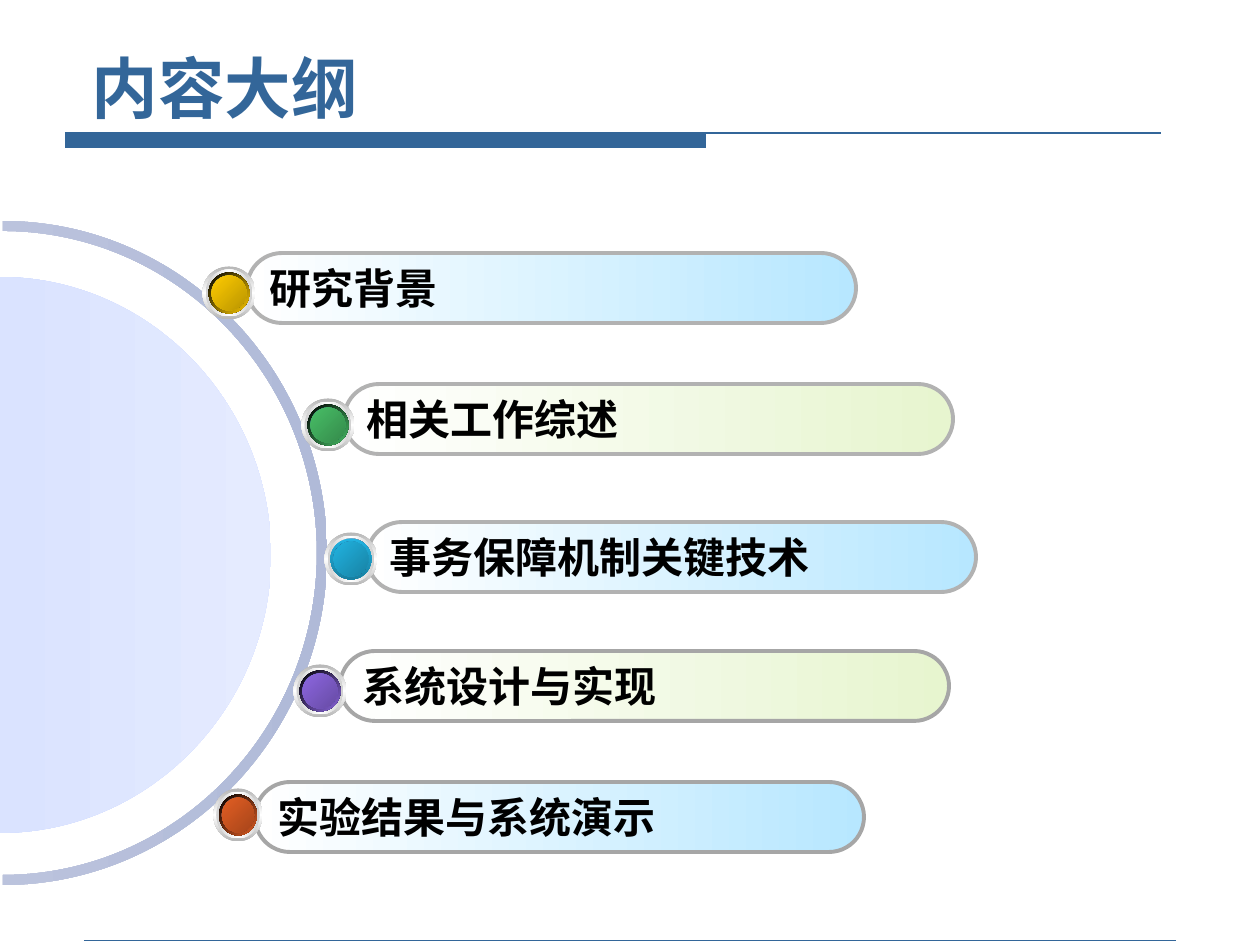
import copy

import pptx
import pptx.dml.color
import pptx.enum.shapes
import pptx.enum.text
import pptx.oxml
import pptx.oxml.ns
import pptx.util

# Content
TITLE = "内容大纲"
BLUE, GREEN = "B7E7FF", "E7F5CF"
# text, pill corner, pill colour, pill outline, ball centre, ball width,
# ball rim (start, end, angle), ball face (start, end)
ITEMS = [
    ("研究背景", (247, 253), BLUE, "B2B2B2", (229, 293), 53,
     ("000000", "FFCC00", 45), ("FFCC00", "BA9500")),
    ("相关工作综述", (344, 384), GREEN, "B2B2B2", (328, 425), 53,
     ("000000", "48BE67", 45), ("48BE67", "358B4B")),
    ("事务保障机制关键技术", (367, 522), BLUE, "B2B2B2", (351, 559), 53,
     ("21B3E1", "1880A1", 90), ("21B3E1", "1883A4")),
    ("系统设计与实现", (340, 651), GREEN, "A6A6A6", (320, 691), 53,
     ("000000", "8D67E1", 45), ("8D67E1", "674BA4")),
    ("实验结果与系统演示", (255, 782), BLUE, "A6A6A6", (238, 815), 49,
     ("000000", "E35E23", 45), ("E35E23", "A6451A")),
]

# Style
PX = 914400 / 126
FONT = "Lato"
ACCENT = "336699"
PILL_SIZE = (609, 70)
BALL_HEIGHT = 53
CURVE = 0.55  # handle length of a quarter ellipse, as a share of its radius
SHAPE = pptx.enum.shapes.MSO_SHAPE
ANCHOR = pptx.enum.text.MSO_ANCHOR


def px(value):
    return pptx.util.Emu(round(value * PX))


def rgb(colour):
    return pptx.dml.color.RGBColor.from_string(colour)


def paint(shape, colours, angle=0, line=None, weight=2.25):
    """Fill with one colour or an even gradient; angle runs clockwise."""
    shape.shadow.inherit = False
    if len(colours) == 1:
        shape.fill.solid()
        shape.fill.fore_color.rgb = rgb(colours[0])
    else:
        shape.fill.gradient()
        shape.fill.gradient_angle = -angle % 360
        stop_list = shape._element.spPr.find(".//" + pptx.oxml.ns.qn("a:gsLst"))
        for _ in colours[2:]:
            stop_list.append(copy.deepcopy(stop_list[-1]))
        for index, (stop, colour) in enumerate(zip(shape.fill.gradient_stops, colours)):
            stop.color.rgb = rgb(colour)
            stop.position = index / (len(colours) - 1)
    if line:
        shape.line.color.rgb = rgb(line)
        shape.line.width = pptx.util.Pt(weight)
    else:
        shape.line.fill.background()


def add_preset(parent, kind, left, top, width, height, colours, **style):
    shape = parent.shapes.add_shape(kind, px(left), px(top), px(width), px(height))
    paint(shape, colours, **style)
    return shape


def add_line(page, left, right, y, weight):
    line = page.shapes.add_connector(
        pptx.enum.shapes.MSO_CONNECTOR.STRAIGHT, px(left), px(y), px(right), px(y))
    line.line.color.rgb = rgb(ACCENT)
    line.line.width = pptx.util.Pt(weight)
    line._element.spPr.append(pptx.oxml.parse_xml(
        "<a:effectLst %s/>" % pptx.oxml.ns.nsdecls("a")))


def write(box, text, size, colour, anchor):
    frame = box.text_frame
    frame.word_wrap = True
    frame.vertical_anchor = anchor
    para = frame.paragraphs[0]
    para.alignment = pptx.enum.text.PP_ALIGN.LEFT
    span = para.add_run()
    span.text = text
    span.font.name = FONT
    span.font.size = pptx.util.Pt(size)
    span.font.bold = True
    span.font.color.rgb = rgb(colour)


def right_arc(x, y, radius_x, radius_y):
    """Points of two curves down the right half of an ellipse."""
    across, down = radius_x * CURVE, radius_y * CURVE
    return [(x, y - radius_y),
            (x + across, y - radius_y), (x + radius_x, y - down), (x + radius_x, y),
            (x + radius_x, y + down), (x + across, y + radius_y), (x, y + radius_y)]


def line_steps(points):
    return [("lnTo", [point]) for point in points]


def curve_steps(points):
    return [("cubicBezTo", points[index:index + 3])
            for index in range(0, len(points), 3)]


def add_outline(page, frame, paths, colours, **style):
    """Draw paths, each (start, steps, attributes), inside one frame in px."""
    left, top, width, height = frame
    right, bottom = left + width, top + height
    builder = page.shapes.build_freeform(left, top, scale=PX)
    builder.add_line_segments([(right, top), (right, bottom), (left, bottom)])
    shape = builder.convert_to_shape()
    path_list = shape._element.spPr.find(".//" + pptx.oxml.ns.qn("a:pathLst"))
    path_list.remove(path_list[0])
    for start, steps, attributes in paths:
        body = ""
        for name, points in [("moveTo", [start])] + steps:
            marks = "".join('<a:pt x="%d" y="%d"/>' % (px(x - left), px(y - top))
                            for x, y in points)
            body += "<a:%s>%s</a:%s>" % (name, marks, name)
        if "fill" not in attributes:
            body += "<a:close/>"
        path_list.append(pptx.oxml.parse_xml('<a:path %s w="%d" h="%d" %s>%s</a:path>' % (
            pptx.oxml.ns.nsdecls("a"), px(width), px(height), attributes, body)))
    paint(shape, colours, **style)


def add_ball(group, centre, width, rim, face):
    layers = [
        (53, ("B6B6B6", "FFFFFF", "B6B6B6"), 90),
        (47, ("D1D1D1", "FFFFFF", "D1D1D1"), 0),
        (41, ("FFFFFF", ACCENT, "FFFFFF"), 45),
        (41, rim[:2], rim[2]),
        (35, ("274E75", ACCENT, "274E75"), 315),
        (35, face, 45),
    ]
    for height, colours, angle in layers:
        layer_width = height * width / BALL_HEIGHT
        add_preset(group, SHAPE.OVAL, centre[0] - layer_width / 2,
                   centre[1] - height / 2, layer_width, height, colours, angle=angle)


def main():
    deck = pptx.Presentation()
    deck.slide_width, deck.slide_height = px(1260), px(945)
    page = deck.slides.add_slide(deck.slide_layouts[5])

    # Title, with its band and rule, and the rule at the foot
    title = page.shapes.title
    title.left, title.top, title.width, title.height = px(79), px(41), px(1102), px(92)
    write(title, TITLE, 38, ACCENT, ANCHOR.BOTTOM)
    band = ((65, 133), line_steps([(706, 133), (706, 148), (65, 148)]), 'stroke="0"')
    rule = ((65, 133), line_steps([(1161, 133)]), 'fill="none"')
    add_outline(page, (65, 133, 1096, 15), [band, rule], [ACCENT],
                line=ACCENT, weight=0.75)
    add_line(page, 84, 1176, 940, 0.25)

    # Half ring and half disc at the left edge
    outer = right_arc(3, 553, 324, 332)
    inner = right_arc(3, 553, 314, 322)[::-1]
    ring = (outer[0], curve_steps(outer[1:]) + line_steps(inner[:1])
            + curve_steps(inner[1:]), "")
    add_outline(page, (-330, 221, 657, 664), [ring], ("C8CEE3", "B0BAD8"))
    edge = right_arc(0, 555, 271, 278)
    disc = (edge[0], curve_steps(edge[1:]), "")
    add_outline(page, (-271, 277, 542, 556), [disc], ("CCD9FF", "E5EBFF"))

    # Outline entries
    for text, corner, colour, outline, centre, width, rim, face in ITEMS:
        group = page.shapes.add_group_shape()
        pill = add_preset(group, SHAPE.ROUNDED_RECTANGLE, *corner, *PILL_SIZE,
                          ("FFFFFF", colour), line=outline)
        pill.adjustments[0] = 0.5
        write(pill, text, 24, "000000", ANCHOR.MIDDLE)
        add_ball(group, centre, width, rim, face)

    deck.save("out.pptx")


if __name__ == "__main__":
    main()
